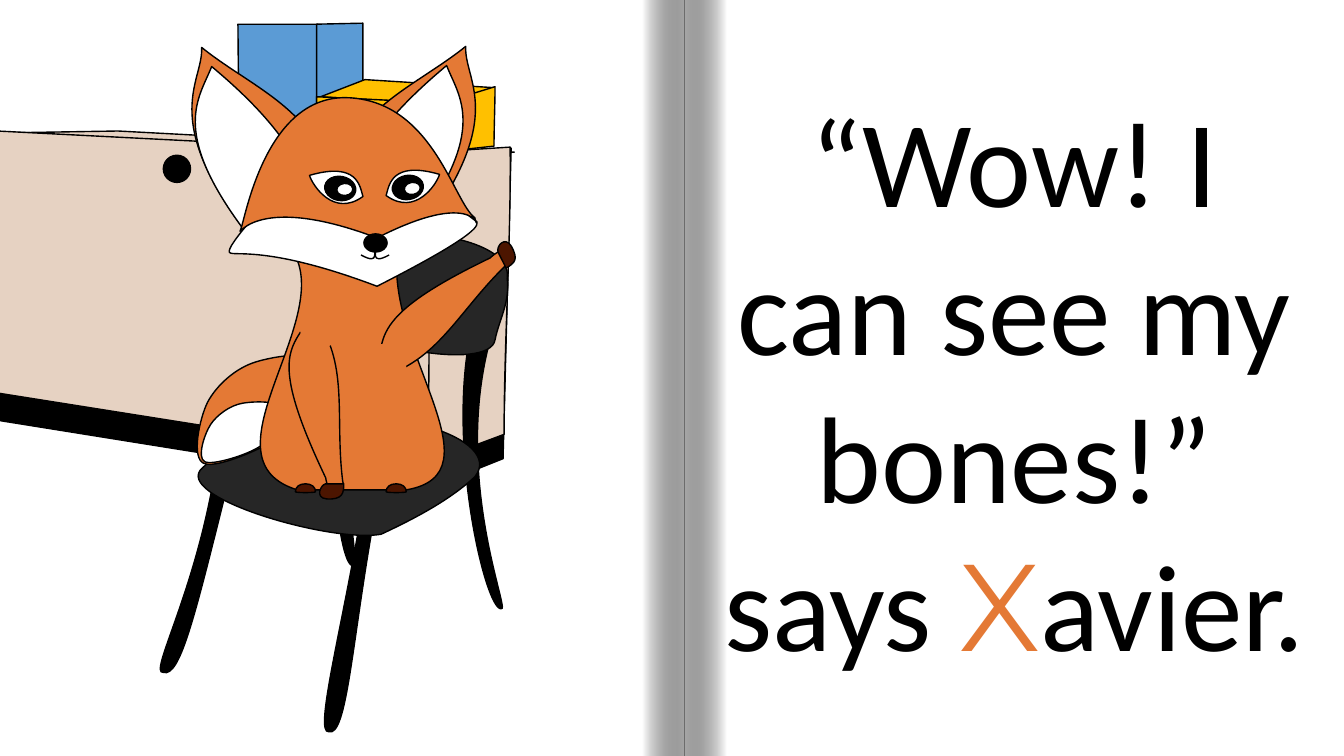
from lxml import etree
from pptx import Presentation
from pptx.dml.color import RGBColor
from pptx.enum.shapes import MSO_SHAPE
from pptx.enum.text import MSO_AUTO_SIZE, PP_ALIGN
from pptx.oxml.ns import qn
from pptx.util import Inches, Pt

RECTANGLE, OVAL = MSO_SHAPE.RECTANGLE, MSO_SHAPE.OVAL
CENTER, GROW = PP_ALIGN.CENTER, MSO_AUTO_SIZE.SHAPE_TO_FIT_TEXT
ROWS = 750
CURVE_STEPS = 16
BLACK, WHITE, ORANGE, PAW = "000000", "FFFFFF", "E47935", "4C1500"
BEIGE, BLUE, YELLOW, CHARCOAL = "E6D2C2", "5B9BD5", "FFC000", "262626"


def color(hex_code):
    return RGBColor.from_string(hex_code)


def paint(shape, fill, outlined=True):
    shape.shadow.inherit = False
    if fill:
        shape.fill.solid()
        shape.fill.fore_color.rgb = color(fill)
    else:
        shape.fill.background()
    if outlined:
        shape.line.color.rgb = color(BLACK)
        shape.line.width = Pt(1)
    else:
        shape.line.fill.background()


def place(box, x, y):
    left, top, _, height = box
    unit = height / ROWS
    return round(left + x * unit), round(top + y * unit)


def mirror(outline, axis, drop=0):
    return [tuple(2 * axis - v if i % 2 == 0 else v + drop for i, v in enumerate(step))
            for step in outline]


def trace(outline):
    points = [outline[0]]
    for step in outline[1:]:
        if len(step) == 2:
            points.append(step)
            continue
        x0, y0 = points[-1]
        x1, y1, x2, y2, x3, y3 = step
        for i in range(1, CURVE_STEPS + 1):
            t = i / CURVE_STEPS
            a, b, c, d = (1 - t) ** 3, 3 * t * (1 - t) ** 2, 3 * t * t * (1 - t), t ** 3
            points.append((a * x0 + b * x1 + c * x2 + d * x3,
                           a * y0 + b * y1 + c * y2 + d * y3))
    return points


def draw_outline(slide, box, fill, outline):
    xs, ys = zip(*trace(outline))
    left, top = place(box, min(xs), min(ys))
    builder = slide.shapes.build_freeform(left, top, scale=1.0)
    builder.add_line_segments([place(box, max(xs), max(ys))], close=False)
    shape = builder.convert_to_shape()
    curve_path = shape._element.find(".//" + qn("a:path"))
    for child in list(curve_path):
        curve_path.remove(child)
    for i, step in enumerate(outline):
        tag = "a:moveTo" if i == 0 else "a:lnTo" if len(step) == 2 else "a:cubicBezTo"
        move = etree.SubElement(curve_path, qn(tag))
        for x, y in zip(step[::2], step[1::2]):
            px, py = place(box, x, y)
            point = etree.SubElement(move, qn("a:pt"))
            point.set("x", str(px - left))
            point.set("y", str(py - top))
    if fill:
        etree.SubElement(curve_path, qn("a:close"))
    paint(shape, fill)


def draw_oval(slide, box, fill, x, y, width, height, turn=0, outlined=True):
    left, top = place(box, x, y)
    right, bottom = place(box, x + width, y + height)
    oval = slide.shapes.add_shape(OVAL, left, top, right - left, bottom - top)
    oval.rotation = turn
    paint(oval, fill, outlined)


def draw_book(slide, box):
    left, top, width, height = box
    paper = slide.shapes.add_shape(RECTANGLE, *box)
    paint(paper, WHITE, outlined=False)
    fold, strip = place(box, 679, 0)[0], place(box, 42, 0)[0] - left
    for strip_left, angle in ((fold, 180), (fold - strip, 0)):
        shade = slide.shapes.add_shape(RECTANGLE, strip_left, top, strip, height)
        paint(shade, WHITE, outlined=False)
        shade.fill.gradient()
        shade.fill.gradient_angle = angle
        outer, inner = shade.fill.gradient_stops
        outer.color.rgb, inner.color.rgb = color(WHITE), color(BLACK)
        rgb = shade._element.spPr.find(qn("a:gradFill")).findall(".//" + qn("a:srgbClr"))[-1]
        etree.SubElement(rgb, qn("a:alpha")).set("val", "34000")


def draw_sentence(slide, box):
    sentence = slide.shapes.add_textbox(*box)
    frame = sentence.text_frame
    frame.word_wrap = True
    frame.auto_size = GROW
    paragraph = frame.paragraphs[0]
    paragraph.alignment = CENTER
    for words, font, ink in (("“Wow! I can see my bones!” says ", "Calibri", BLACK),
                             ("X", "Montserrat", ORANGE),
                             ("avier.", "Calibri", BLACK)):
        run = paragraph.add_run()
        run.text = words
        run.font.name, run.font.size = font, Pt(88)
        run.font.color.rgb = color(ink)


def draw_desk(slide, box):
    base = [
        (BLACK, [(424, 485), (499, 455), (507, 147), (426, 152), (426, 260, 424, 377, 424, 485)]),
        (BLACK, [(-2, 157), (424, 179), (422, 485), (-2, 417)]),
        (BEIGE, [(420, 157), (510, 151), (117, 130), (-1, 132), (33, 141, 411, 148, 420, 157)]),
        (BEIGE, [(-2, 130), (428, 152), (427, 458), (-2, 390)]),
    ]
    side_and_boxes = [
        (BEIGE, [(425, 459), (500, 431), (500, 336, 507, 241, 506, 146), (427, 151),
                 (427, 251, 425, 359, 425, 459)]),
        (BLUE, [(236, 24), (315, 24), (315, 60, 315, 109, 314, 145), (237, 141)]),
        (BLUE, [(314, 24), (360, 23), (360, 39, 360, 101, 360, 117), (314, 144)]),
        (YELLOW, [(362, 79), (490, 87), (436, 103), (318, 96)]),
        (YELLOW, [(314, 96), (437, 102), (437, 118, 437, 134, 437, 151), (314, 145)]),
        (YELLOW, [(436, 103), (491, 86), (491, 102, 490, 129, 490, 145), (434, 151)]),
    ]
    for fill, outline in base:
        draw_outline(slide, box, fill, outline)
    for x, y in ((234, 157), (162, 154)):
        draw_oval(slide, box, BLACK, x, y, 27, 27)
    for fill, outline in side_and_boxes:
        draw_outline(slide, box, fill, outline)


def draw_chair(slide, box):
    back_legs = [
        [(469, 321), (491, 321), (444, 465, 508, 610, 497, 604), (481, 605, 441, 434, 469, 321)],
        [(345, 289), (367, 289), (320, 434, 362, 568, 350, 561), (335, 563, 317, 402, 345, 289)],
    ]
    backrest = [(347, 261), (343, 214, 511, 228, 503, 276), (506, 300, 495, 317, 491, 337),
                (486, 370, 341, 343, 329, 308)]
    front_legs = [
        [(360, 500), (370, 520), (349, 638, 344, 732, 326, 726), (311, 728, 340, 621, 360, 500)],
        [(213, 469), (227, 476), (194, 608, 179, 673, 162, 667), (147, 669, 193, 590, 213, 469)],
    ]
    seat = [(298, 421), (382, 398, 501, 435, 471, 473), (445, 497, 410, 515, 378, 530),
            (327, 539, 168, 492, 201, 464), (228, 439, 266, 427, 298, 421)]
    for fill, outlines in ((BLACK, back_legs), (CHARCOAL, [backrest]),
                           (BLACK, front_legs), (CHARCOAL, [seat])):
        for outline in outlines:
            draw_outline(slide, box, fill, outline)


def draw_fox_body(slide, box):
    tail = [(203, 460), (189, 456, 198, 415, 206, 399), (215, 382, 234, 365, 254, 359),
            (274, 353, 315, 346, 325, 364), (335, 382, 308, 411, 288, 427),
            (267, 443, 216, 465, 203, 460)]
    tail_tip = [(203, 458), (195, 454, 203, 430, 209, 421), (215, 412, 228, 402, 241, 400),
                (253, 398, 279, 397, 283, 408), (288, 420, 270, 436, 256, 444),
                (243, 452, 210, 462, 203, 458)]
    torso = [(294, 256), (394, 252), (384, 350, 497, 470, 403, 486), (295, 486),
             (199, 457, 325, 326, 294, 256)]
    raised_arm = [(383, 372), (384, 373, 371, 377, 372, 378), (385, 339, 355, 319, 486, 256),
                  (509, 235, 504, 265, 502, 263), (457, 306, 435, 356, 383, 372)]
    foot = [(383, 488), (383, 483, 387, 480, 393, 480), (399, 480, 403, 483, 403, 488),
            (402, 489, 384, 489, 383, 488)]
    raised_paw = [(502, 266), (494, 250), (492, 244, 501, 234, 507, 244),
                  (515, 258, 510, 261, 502, 266)]
    lowered_arm = [(315, 319), (316, 319, 309, 307, 310, 308), (295, 346, 260, 342, 323, 474),
                   (328, 504, 343, 478, 340, 478), (332, 416, 346, 363, 315, 319)]
    lowered_paw = [(341, 480), (323, 480), (318, 481, 312, 494, 324, 495),
                   (340, 496, 341, 489, 341, 480)]
    for fill, outline in ((ORANGE, tail), (WHITE, tail_tip), (ORANGE, torso),
                          (ORANGE, raised_arm), (PAW, foot), (PAW, mirror(foot, 348)),
                          (PAW, raised_paw), (ORANGE, lowered_arm), (PAW, lowered_paw)):
        draw_outline(slide, box, fill, outline)
    for x, y in ((360, 341), (297, 301)):
        draw_oval(slide, box, ORANGE, x, y, 43, 44, outlined=False)


def draw_fox_head(slide, box):
    ear = [(419, 228), (504, 114, 460, 80, 462, 46), (425, 76, 376, 97, 351, 137)]
    inner_ear = [(411, 227), (485, 128, 455, 96, 443, 65), (412, 91, 382, 120, 361, 155)]
    cheeks = [(228, 247), (233, 233, 306, 149, 347, 144), (388, 140, 451, 205, 473, 220),
              (473, 223, 482, 229, 374, 284), (247, 236, 223, 260, 228, 247)]
    forehead = [(239, 227), (244, 213, 265, 92, 347, 97), (430, 102, 450, 201, 471, 216),
                (475, 238, 482, 181, 374, 236), (247, 188, 234, 241, 239, 227)]
    eye = [(436, 173), (388, 159, 386, 184, 383, 194), (412, 215, 433, 183, 436, 173)]
    smile = [(373, 243), (374, 248, 366, 264, 386, 253)]
    for fill, outline in ((ORANGE, ear), (WHITE, inner_ear),
                          (ORANGE, mirror(ear, 331, 1)), (WHITE, mirror(inner_ear, 326.5, 1)),
                          (WHITE, cheeks), (ORANGE, forehead),
                          (WHITE, eye), (WHITE, mirror(eye, 371.5, 1))):
        draw_outline(slide, box, fill, outline)
    draw_oval(slide, box, BLACK, 361, 232, 23, 18)
    for x, y, iris_turn, glint_turn in ((389, 174, 350.1, 350.1), (322, 175, 9.9, 355.5)):
        draw_oval(slide, box, BLACK, x, y, 31, 24, iris_turn)
        draw_oval(slide, box, WHITE, x + 12, y + 7, 16, 12, glint_turn)
    for outline in (smile, mirror(smile, 372)):
        draw_outline(slide, box, None, outline)


def main():
    deck = Presentation()
    deck.slide_width, deck.slide_height = Inches(13.33), Inches(7.5)
    width, height = deck.slide_width, deck.slide_height
    slide = deck.slides.add_slide(deck.slide_layouts[6])
    slide.background.fill.solid()
    slide.background.fill.fore_color.rgb = color(BLACK)
    draw_book(slide, (0, 0, width, height))
    draw_sentence(slide, (Inches(6.96), Inches(0.79), Inches(6.2), Inches(6.02)))
    left_page = (0, 0, Inches(6.79), height)
    for draw_part in (draw_desk, draw_chair, draw_fox_body, draw_fox_head):
        draw_part(slide, left_page)
    deck.save("out.pptx")


if __name__ == "__main__":
    main()
